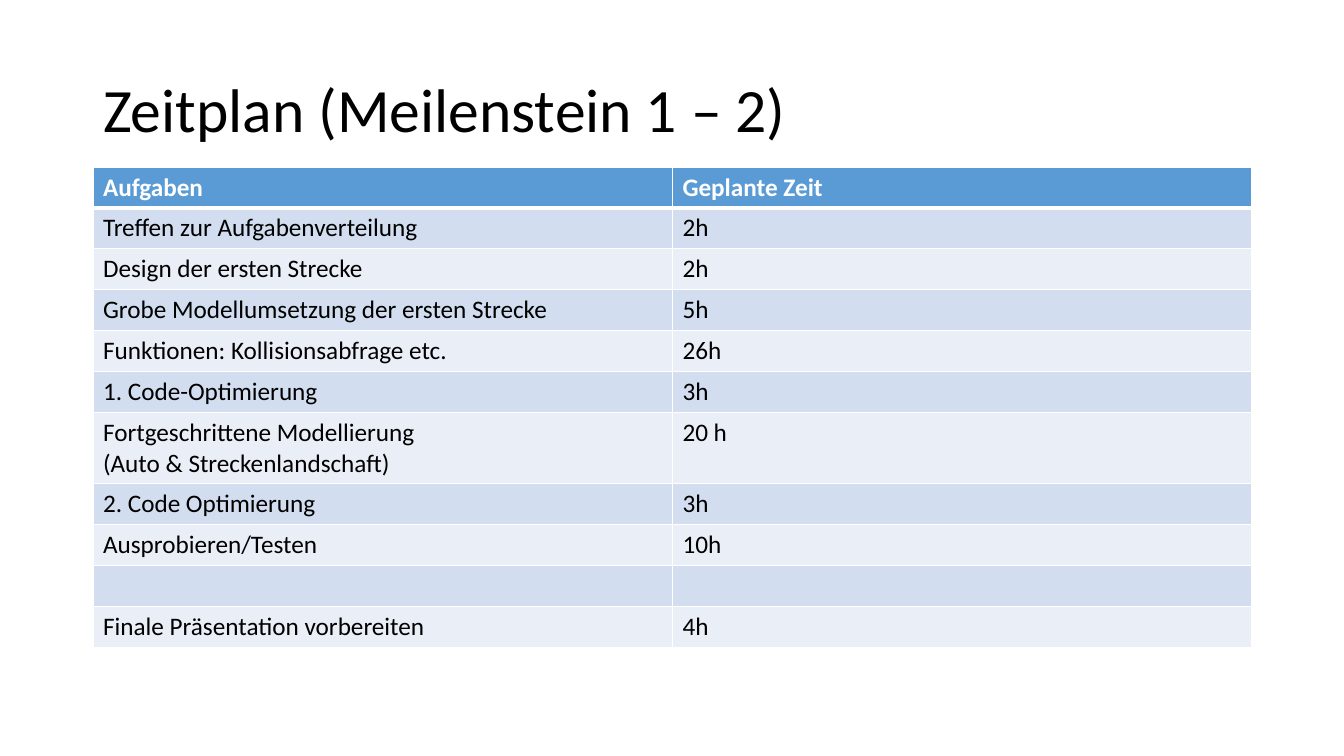
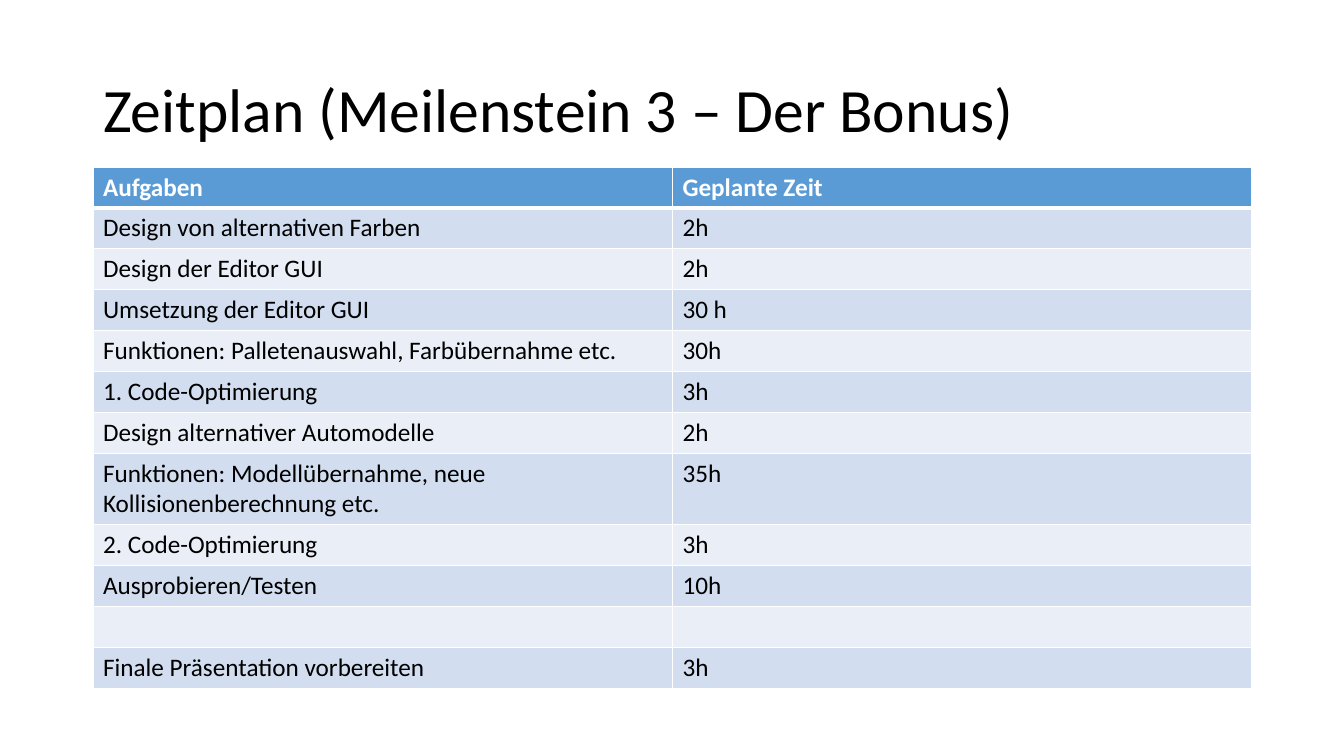
from lxml import etree
from pptx import Presentation
from pptx.dml.color import RGBColor
from pptx.enum.text import MSO_ANCHOR, MSO_AUTO_SIZE, PP_ALIGN
from pptx.oxml.ns import qn
from pptx.util import Pt

HEADINGS = ("Aufgaben", "Geplante Zeit")
SCHEDULES = [
    ("Zeitplan (Meilenstein 1 – 2)", [
        ("Treffen zur Aufgabenverteilung", "2h"),
        ("Design der ersten Strecke", "2h"),
        ("Grobe Modellumsetzung der ersten Strecke", "5h"),
        ("Funktionen: Kollisionsabfrage etc.", "26h"),
        ("1. Code-Optimierung", "3h"),
        ("Fortgeschrittene Modellierung \n(Auto & Streckenlandschaft)", "20 h"),
        ("2. Code Optimierung", "3h"),
        ("Ausprobieren/Testen", "10h"),
        ("", ""),
        ("Finale Präsentation vorbereiten", "4h"),
    ]),
    ("Zeitplan (Meilenstein 3 – Der Bonus)", [
        ("Design von alternativen Farben", "2h"),
        ("Design der Editor GUI", "2h"),
        ("Umsetzung der Editor GUI", "30 h"),
        ("Funktionen: Palletenauswahl, Farbübernahme etc.", "30h"),
        ("1. Code-Optimierung", "3h"),
        ("Design alternativer Automodelle", "2h"),
        ("Funktionen: Modellübernahme, neue Kollisionenberechnung etc.", "35h"),
        ("2. Code-Optimierung", "3h"),
        ("Ausprobieren/Testen", "10h"),
        ("", ""),
        ("Finale Präsentation vorbereiten", "3h"),
    ]),
]

COLORS = {"text": "000000", "header_text": "FFFFFF", "header": "5B9BD5",
          "odd": "D2DEEF", "even": "EAEFF7", "border": "FFFFFF"}
FONT = "Calibri"
TITLE_FONT = {"name": FONT, "size": Pt(44), "bold": False}
HEADER_FONT = {"name": FONT, "size": Pt(18), "bold": True}
TASK_FONT = {"name": FONT, "size": Pt(18), "bold": False}
TITLE_FRAME = {"vertical_anchor": MSO_ANCHOR.MIDDLE, "word_wrap": True,
               "auto_size": MSO_AUTO_SIZE.NONE}
TITLE_PARAGRAPH = {"alignment": PP_ALIGN.LEFT, "line_spacing": 0.9}

SLIDE_W, SLIDE_H = 1344, 756
EMU_PER_PX = 12192000 / SLIDE_W
LEFT, WIDTH = 93, 1159
TITLE_TOP, TITLE_H = 40, 146
TABLE_TOP = 167
TEN_ROWS_H = 409
THIN, THICK = Pt(1), Pt(3)


def px(length):
    """Turn pixels into EMU."""
    return round(length * EMU_PER_PX)


def apply_format(target, values):
    """Set each attribute named in values."""
    for name, value in values.items():
        setattr(target, name, value)


def style_text(frame, font_values, color):
    """Format every paragraph of a text frame."""
    for paragraph in frame.paragraphs:
        apply_format(paragraph.font, font_values)
        paragraph.font.color.rgb = RGBColor.from_string(COLORS[color])


def add_borders(cell, top, bottom):
    """Draw the four cell borders."""
    properties = cell._tc.get_or_add_tcPr()
    widths = {"a:lnL": THIN, "a:lnR": THIN, "a:lnT": top, "a:lnB": bottom}
    for tag, width in widths.items():
        line = etree.SubElement(properties, qn(tag), w=str(int(width)))
        fill = etree.SubElement(line, qn("a:solidFill"))
        etree.SubElement(fill, qn("a:srgbClr"), val=COLORS["border"])


def place_title(layout):
    """Set the title box and style that all slides inherit."""
    title = layout.placeholders[0]
    apply_format(title, {"left": px(LEFT), "top": px(TITLE_TOP),
                         "width": px(WIDTH), "height": px(TITLE_H)})


def add_title(slide, text):
    """Fill and format the slide title."""
    frame = slide.shapes.title.text_frame
    frame.text = text
    apply_format(frame, TITLE_FRAME)
    apply_format(frame.paragraphs[0], TITLE_PARAGRAPH)
    style_text(frame, TITLE_FONT, "text")


def add_schedule(slide, tasks):
    """Add the banded table of tasks and planned hours."""
    rows = [HEADINGS, *tasks]
    row_height = px(TEN_ROWS_H / 10)
    table = slide.shapes.add_table(
        len(rows), len(HEADINGS), px(LEFT), px(TABLE_TOP), px(WIDTH),
        row_height * len(rows)).table
    for r, row in enumerate(rows):
        is_header = r == 0
        band = "header" if is_header else "odd" if r % 2 else "even"
        for c, text in enumerate(row):
            cell = table.cell(r, c)
            cell.text = text
            style_text(cell.text_frame, HEADER_FONT if is_header else TASK_FONT,
                       "header_text" if is_header else "text")
            add_borders(cell, THICK if r == 1 else THIN,
                        THICK if is_header else THIN)
            cell.fill.solid()
            cell.fill.fore_color.rgb = RGBColor.from_string(COLORS[band])


def main():
    """Build one slide per schedule."""
    deck = Presentation()
    deck.slide_width, deck.slide_height = px(SLIDE_W), px(SLIDE_H)
    title_only = deck.slide_layouts[5]
    place_title(title_only)
    for title, tasks in SCHEDULES:
        slide = deck.slides.add_slide(title_only)
        add_title(slide, title)
        add_schedule(slide, tasks)
    deck.save("out.pptx")


main()
